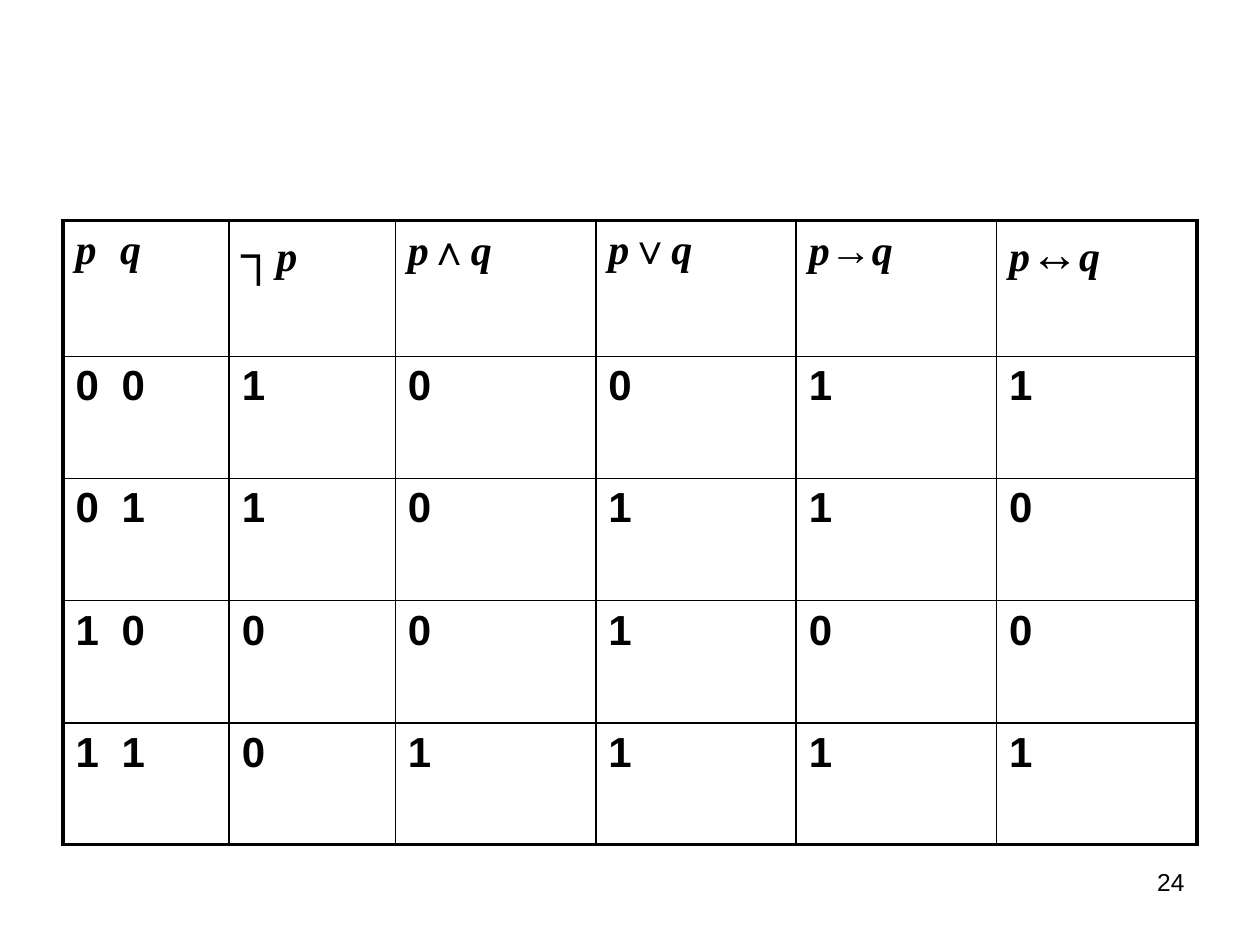
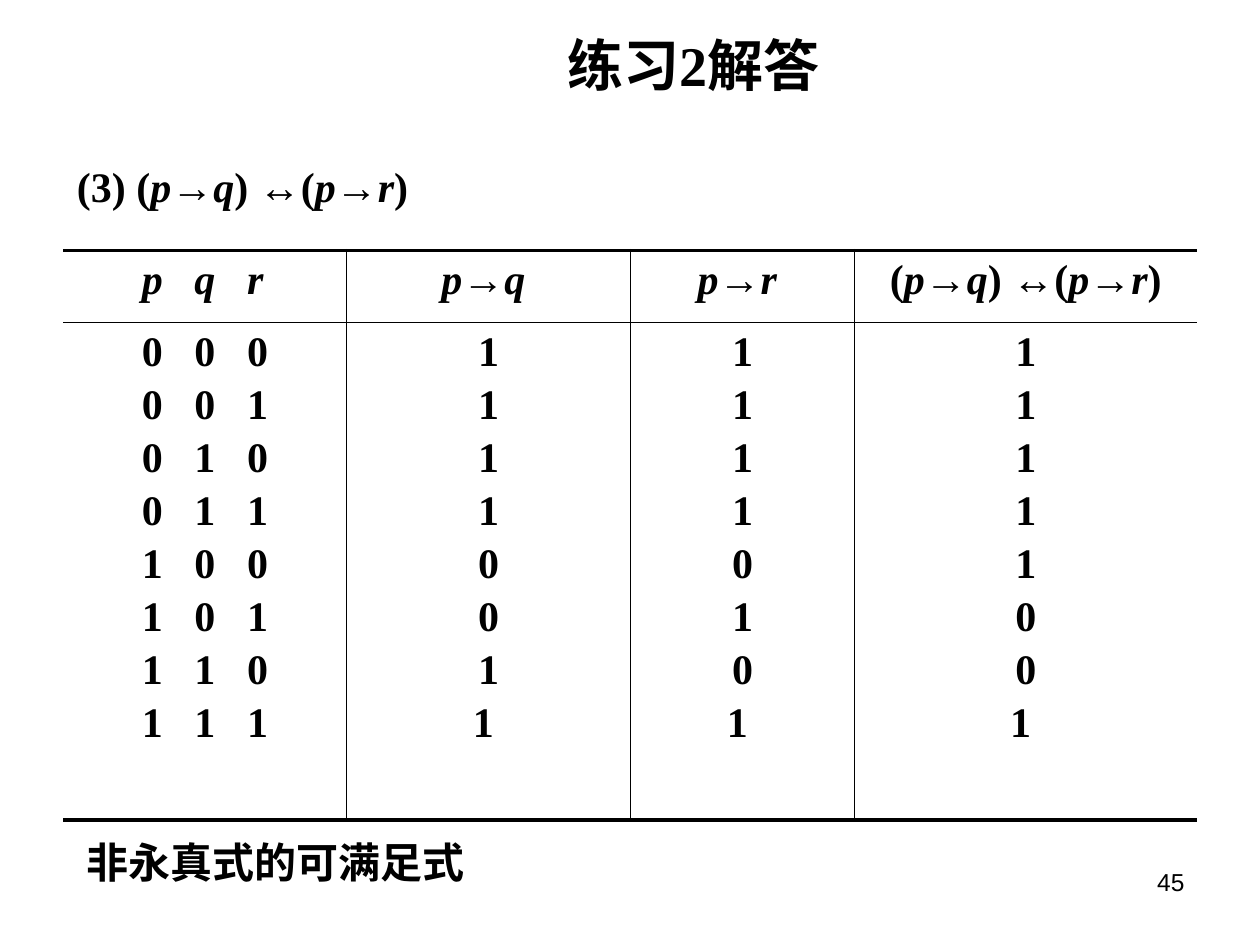
from dataclasses import dataclass
from itertools import groupby

from lxml.etree import SubElement
from pptx import Presentation
from pptx.dml.color import RGBColor
from pptx.enum.text import MSO_ANCHOR as Anchor, MSO_AUTO_SIZE as AutoSize, PP_ALIGN as Align
from pptx.oxml.ns import qn
from pptx.util import Cm, Pt

BLACK = RGBColor(0x00, 0x00, 0x00)
SANS = "Arial"
SERIF = "Times New Roman"
VARIABLES = "pqr"
TITLE_ONLY, BLANK = 5, 6
THIN = 1


@dataclass(frozen=True)
class Box:
    left: float
    top: float
    width: float
    height: float

    def lengths(self) -> tuple:
        return Cm(self.left), Cm(self.top), Cm(self.width), Cm(self.height)


@dataclass(frozen=True)
class Formula:
    text: str
    symbol_font: str = SERIF
    symbol_size: float = 24


@dataclass(frozen=True)
class Grid:
    box: Box
    columns: tuple
    rows: tuple
    side_border: float
    top_border: float
    bottom_border: float


PAGE_NUMBER = Box(18.21, 17.35, 5.92, 1.32)
TITLE = Box(5.49, 0.71, 16.99, 1.17)
EXERCISE = Box(1.3, 3.12, 12.8, 1.27)
CONCLUSION = Box(1.5, 16.74, 8.18, 1.27)

CONNECTIVES = Grid(Box(1.27, 4.45, 22.86, 12.57), (3.35, 3.35) + (4.04,) * 4,
                   (2.74,) + (2.46,) * 4, 2, 2, 2)
SOLUTION = Grid(Box(1.27, 5.05, 22.86, 11.48), (5.72, 5.72, 4.52, 6.9),
                (1.45, 10.03), 0, 2.25, 2.25)

CONNECTIVE_HEADERS = (
    Formula("p\tq"),
    Formula("┐p", SANS, 28),
    Formula("p∧q", SANS),
    Formula("p∨q"),
    Formula("p→q", SANS),
    Formula("p↔q", SANS, 28),
)
CONNECTIVE_VALUES = (
    ("0\t0", "1", "0", "0", "1", "1"),
    ("0\t1", "1", "0", "1", "1", "0"),
    ("1\t0", "0", "0", "1", "0", "0"),
    ("1\t1", "0", "1", "1", "1", "1"),
)
SOLUTION_HEADERS = ("p\tq\tr", "p→q ", "p→r ", "(p→q) ↔(p→r)")
SOLUTION_VALUES = (
    ["\t".join(f"{number:03b}") for number in range(8)],
    [*"1111001", "1 "],
    [*"1111010", "1 "],
    [*"1111100", "1 "],
)


def write_text(paragraph, text: str, *, font: str = SERIF, size: float = 24,
               bold: bool = True, symbol_font: str = "", symbol_size: float = 0,
               align: Align = None, space_before: float = 0, tabs: tuple = ()) -> None:
    if tabs:
        tab_list = SubElement(paragraph._p.get_or_add_pPr(), qn("a:tabLst"))
        for position in tabs:
            SubElement(tab_list, qn("a:tab"), pos=str(Cm(position)), algn="l")
    if align is not None:
        paragraph.alignment = align
    paragraph.space_before = Pt(space_before)
    for is_variable, characters in groupby(text, lambda character: character in VARIABLES):
        run = paragraph.add_run()
        run.text = "".join(characters)
        run.font.name = font if is_variable else symbol_font or font
        run.font.size = Pt(size if is_variable else symbol_size or size)
        run.font.bold = bold
        run.font.italic = is_variable
        run.font.color.rgb = BLACK


def add_text_box(slide, box: Box, text: str, *, wrap: bool = True, grow: bool = True,
                 anchor: Anchor = Anchor.TOP, **text_format) -> None:
    frame = slide.shapes.add_textbox(*box.lengths()).text_frame
    frame.word_wrap = wrap
    frame.auto_size = AutoSize.SHAPE_TO_FIT_TEXT if grow else AutoSize.NONE
    frame.vertical_anchor = anchor
    write_text(frame.paragraphs[0], text, **text_format)


def add_page_number(slide, number: int) -> None:
    add_text_box(slide, PAGE_NUMBER, str(number), grow=False, font=SANS, size=14,
                 bold=False, align=Align.RIGHT)


def set_borders(cell, **widths: float) -> None:
    properties = cell._tc.get_or_add_tcPr()
    for index, (side, width) in enumerate(widths.items()):
        line = SubElement(properties, qn(f"a:ln{side}"), w=str(Pt(width)))
        if width:
            fill = SubElement(line, qn("a:solidFill"))
            SubElement(fill, qn("a:srgbClr"), val=str(BLACK))
        else:
            SubElement(line, qn("a:noFill"))
        properties.insert(index, line)


def add_grid(slide, grid: Grid):
    last_row, last_column = len(grid.rows) - 1, len(grid.columns) - 1
    table = slide.shapes.add_table(last_row + 1, last_column + 1, *grid.box.lengths()).table
    table.first_row = table.horz_banding = False
    for column, width in zip(table.columns, grid.columns):
        column.width = Cm(width)
    for row_index, (row, height) in enumerate(zip(table.rows, grid.rows)):
        row.height = Cm(height)
        for column_index, cell in enumerate(row.cells):
            cell.fill.background()
            set_borders(
                cell,
                L=grid.side_border if column_index == 0 else THIN,
                R=grid.side_border if column_index == last_column else THIN,
                T=grid.top_border if row_index == 0 else THIN,
                B=grid.bottom_border if row_index == last_row else THIN,
            )
    return table


def build_connectives(presentation) -> None:
    slide = presentation.slides.add_slide(presentation.slide_layouts[BLANK])
    add_page_number(slide, 24)
    table = add_grid(slide, CONNECTIVES)
    for column, formula in enumerate(CONNECTIVE_HEADERS):
        write_text(table.cell(0, column).text_frame.paragraphs[0], formula.text,
                   symbol_font=formula.symbol_font, symbol_size=formula.symbol_size,
                   tabs=(0.9,) if column == 0 else ())
    for row, values in enumerate(CONNECTIVE_VALUES, start=1):
        for column, value in enumerate(values):
            write_text(table.cell(row, column).text_frame.paragraphs[0], value, font=SANS,
                       tabs=(0.93,) if column == 0 else ())


def build_solution(presentation) -> None:
    slide = presentation.slides.add_slide(presentation.slide_layouts[TITLE_ONLY])
    add_page_number(slide, 45)

    title = slide.shapes.title
    title.left, title.top, title.width, title.height = TITLE.lengths()
    title.text_frame.vertical_anchor = Anchor.MIDDLE
    heading = title.text_frame.paragraphs[0]
    write_text(heading, "练习", font=SANS, size=32, align=Align.CENTER)
    write_text(heading, "2解答", size=32)

    add_text_box(slide, EXERCISE, "(3) (p→q) ↔(p→r)")
    add_text_box(slide, CONCLUSION, "非永真式的可满足式", wrap=False, anchor=Anchor.MIDDLE)

    table = add_grid(slide, SOLUTION)
    for column, (header, values) in enumerate(zip(SOLUTION_HEADERS, SOLUTION_VALUES)):
        text_format = {"align": Align.CENTER}
        if column == 0:
            text_format = {"align": Align.LEFT, "tabs": (1.06, 2.12)}
            for row in range(len(SOLUTION.rows)):
                table.cell(row, column).margin_left = Cm(1.59)
        write_text(table.cell(0, column).text_frame.paragraphs[0], header, **text_format)
        frame = table.cell(1, column).text_frame
        for index, value in enumerate(values):
            paragraph = frame.add_paragraph() if index else frame.paragraphs[0]
            write_text(paragraph, value, space_before=3.75 if index else 0, **text_format)


def main() -> None:
    presentation = Presentation()
    presentation.slide_width, presentation.slide_height = Cm(25.4), Cm(19.05)
    build_connectives(presentation)
    build_solution(presentation)
    presentation.save("out.pptx")


if __name__ == "__main__":
    main()
